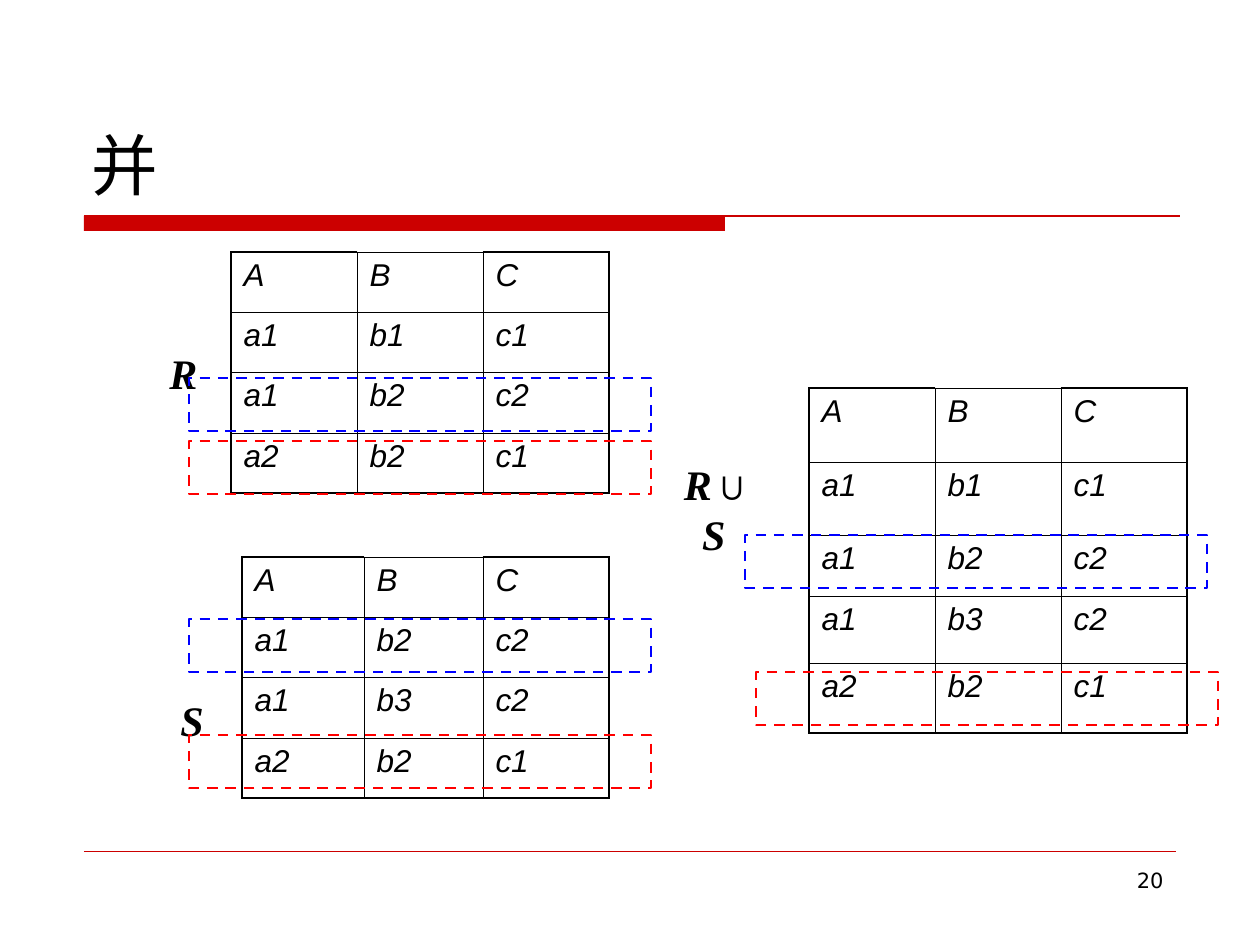
from lxml import etree
from pptx import Presentation
from pptx.dml.color import RGBColor
from pptx.enum.dml import MSO_LINE as Dash
from pptx.enum.shapes import MSO_CONNECTOR as Conn, MSO_SHAPE as Shape
from pptx.enum.text import MSO_ANCHOR as Anchor, PP_ALIGN as Align
from pptx.oxml import parse_xml
from pptx.oxml.ns import nsdecls, qn
from pptx.util import Pt

SCALE = 914400 / 126
BLACK, RED, BLUE, CRIMSON = "000000", "FF0000", "0000FF", "CC0000"
THIN, THICK = 0.45, 1.08


def px(*vals):
    """Turn px lengths into EMU."""
    return [round(v * SCALE) for v in vals]


def color(code):
    return RGBColor.from_string(code)


def style(font, name, size, bold=False, italic=False):
    font.name, font.size = name, Pt(size)
    font.bold, font.italic = bold, italic
    font.color.rgb = color(BLACK)


def add_text(slide, box, anchor, align, wrap=True):
    """Add a text box and return its frame and first paragraph."""
    frame = slide.shapes.add_textbox(*px(*box)).text_frame
    frame.word_wrap, frame.vertical_anchor = wrap, anchor
    para = frame.paragraphs[0]
    para.alignment = align
    return para


def add_rule(slide, left, right, y, width):
    line = slide.shapes.add_connector(Conn.STRAIGHT, *px(left, y, right, y))
    line.line.color.rgb, line.line.width = color(CRIMSON), Pt(width)
    etree.SubElement(line._element.spPr, qn("a:effectLst"))


def add_header(slide, box):
    """Place the title with the bar and rule under it."""
    x, y, w, h = box
    para = add_text(slide, box, Anchor.BOTTOM, Align.LEFT)
    para.text = "并"
    style(para.font, "DejaVu Sans", 38)
    left, top = x + 5, y + h + 6
    bar = slide.shapes.add_shape(Shape.RECTANGLE, *px(left, top, 641, 15))
    bar.shadow.inherit = False
    bar.fill.solid()
    bar.fill.fore_color.rgb = color(CRIMSON)
    bar.line.fill.background()
    add_rule(slide, left, left + 1096, top, 0.75)


def add_footer(slide, box):
    """Place the bottom rule and the page number below it."""
    x, y, w, h = box
    add_rule(slide, x, x + w, y, 0.25)
    para = add_text(slide, (x + w - 273, y + 10, 273, h - 10), Anchor.TOP, Align.RIGHT)
    para.text = "20"
    style(para.font, "DejaVu Sans", 12)


def set_borders(cell, widths):
    """Draw the left, right, top and bottom borders of a cell."""
    props = cell._tc.get_or_add_tcPr()
    for i, (side, width) in enumerate(zip("LRTB", widths)):
        props.insert(i, parse_xml(
            f'<a:ln{side} {nsdecls("a")} w="{Pt(width)}"><a:solidFill>'
            f'<a:srgbClr val="{BLACK}"/></a:solidFill></a:ln{side}>'))


def add_relation(slide, x, y, cols, rows, data):
    """Place a relation table with a heavier outer frame."""
    last_row, last_col = len(rows) - 1, len(cols) - 1
    box = px(x, y, sum(cols), sum(rows))
    table = slide.shapes.add_table(len(rows), len(cols), *box).table
    table.first_row = table.horz_banding = False
    for col, width in zip(table.columns, px(*cols)):
        col.width = width
    for row, height in zip(table.rows, px(*rows)):
        row.height = height
    for r, line in enumerate(["A B C"] + data):
        for c, word in enumerate(line.split()):
            cell = table.cell(r, c)
            cell.text = word
            cell.fill.background()
            style(cell.text_frame.paragraphs[0].font, "Arial", 18, italic=True)
            heavy = (c == 0, c == last_col,
                     r == 0 and c in (0, last_col), r == last_row)
            set_borders(cell, [THICK if h else THIN for h in heavy])


def add_label(slide, box, text):
    """Place a relation name; the union sign stays upright."""
    para = add_text(slide, box, Anchor.MIDDLE, Align.CENTER, wrap=False)
    left, sign, right = text.partition("∪")
    for part in filter(None, (left, sign, right)):
        run = para.add_run()
        run.text = part
        style(run.font, "Times New Roman", 24, bold=True, italic=part != "∪")


def add_mark(slide, x, y, code):
    """Place a dashed frame around one row."""
    mark = slide.shapes.add_shape(Shape.RECTANGLE, *px(x, y, 462, 53))
    mark.shadow.inherit = False
    mark.fill.background()
    mark.line.color.rgb, mark.line.width = color(code), Pt(1.5)
    mark.line.dash_style = Dash.DASH


def main():
    deck = Presentation()
    deck.slide_width, deck.slide_height = px(1260, 945)
    slide = deck.slides.add_slide(deck.slide_layouts[6])
    add_header(slide, (79, 42, 1103, 168))
    add_footer(slide, (84, 851, 1092, 75))

    even = [60, 60, 61, 60]
    add_relation(slide, 231, 252, [126] * 3, even,
                 ["a1 b1 c1", "a1 b2 c2", "a2 b2 c1"])
    add_relation(slide, 809, 388, [126] * 3, [74, 73, 61, 67, 70],
                 ["a1 b1 c1", "a1 b2 c2", "a1 b3 c2", "a2 b2 c1"])
    add_relation(slide, 242, 557, [122, 119, 126], even,
                 ["a1 b2 c2", "a1 b3 c2", "a2 b2 c1"])

    add_label(slide, (157, 315, 42, 116), "R")
    add_label(slide, (168, 662, 42, 116), "S")
    add_label(slide, (661, 451, 116, 116), "R∪S ")

    for x, y in [(189, 441), (189, 735), (756, 672)]:
        add_mark(slide, x, y, RED)
    for x, y in [(189, 619), (745, 535), (189, 378)]:
        add_mark(slide, x, y, BLUE)
    deck.save("out.pptx")


if __name__ == "__main__":
    main()
